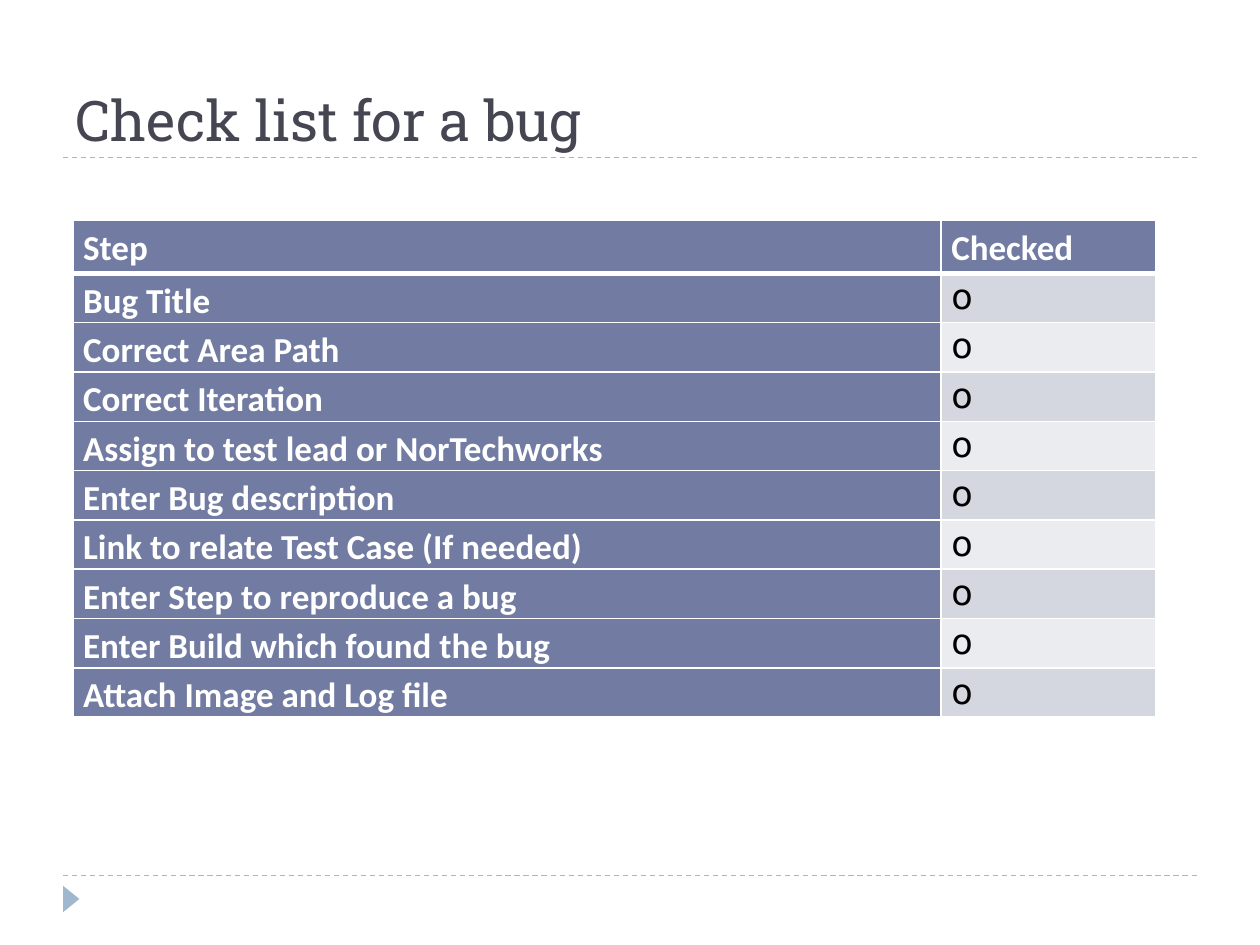
from dataclasses import dataclass

from lxml import etree
from pptx import Presentation
from pptx.dml.color import RGBColor
from pptx.enum.dml import MSO_LINE
from pptx.enum.shapes import MSO_CONNECTOR, MSO_SHAPE
from pptx.enum.text import MSO_ANCHOR, PP_ALIGN
from pptx.oxml.ns import qn
from pptx.util import Inches, Pt

STRAIGHT = MSO_CONNECTOR.STRAIGHT
TRIANGLE = MSO_SHAPE.ISOSCELES_TRIANGLE
DASH = MSO_LINE.DASH
BOTTOM, TOP = MSO_ANCHOR.BOTTOM, MSO_ANCHOR.TOP
LEFT = PP_ALIGN.LEFT
COLORS = {
    "title": "464653",
    "accent": "9FB8CD",
    "head": "727CA3",
    "odd": "D5D7E0",
    "even": "EBECF0",
    "white": "FFFFFF",
    "black": "000000",
}
STEPS = [
    "Bug Title",
    "Correct Area Path",
    "Correct Iteration",
    "Assign to test lead or NorTechworks",
    "Enter Bug description",
    "Link to relate Test Case (If needed)",
    "Enter Step to reproduce a bug",
    "Enter Build which found the bug",
    "Attach Image and Log file",
]


@dataclass
class Row:
    step: str
    mark: str
    fill: str
    header: bool = False


def rgb(name: str) -> RGBColor:
    return RGBColor.from_string(COLORS[name])


def write(tf, text: str, *, size: float, font: str, color: str,
          bold: bool = False, spacing: float = 1.0) -> None:
    p = tf.paragraphs[0]
    p.alignment = LEFT
    p.line_spacing = spacing
    r = p.add_run()
    r.text = text
    r.font.size = Pt(size)
    r.font.name = font
    r.font.bold = bold
    r.font.color.rgb = rgb(color)


def add_bullet(p, char: str) -> None:
    pPr = p._p.get_or_add_pPr()
    pPr.set("marL", str(Inches(0.25)))
    pPr.set("indent", str(-Inches(0.25)))
    etree.SubElement(pPr, qn("a:buChar"), char=char)


def add_rule(slide, y: float) -> None:
    line = slide.shapes.add_connector(STRAIGHT, Inches(0.5), Inches(y), Inches(9.5), Inches(y))
    line.line.color.rgb = rgb("accent")
    line.line.width = Pt(0.75)
    line.line.dash_style = DASH
    etree.SubElement(line._element.spPr, qn("a:effectLst"))


def set_borders(cell, bottom: float) -> None:
    tcPr = cell._tc.get_or_add_tcPr()
    widths = {"L": 1, "R": 1, "T": 1, "B": bottom}
    for i, (side, width) in enumerate(widths.items()):
        ln = etree.Element(qn(f"a:ln{side}"), w=str(Pt(width)))
        fill = etree.SubElement(ln, qn("a:solidFill"))
        etree.SubElement(fill, qn("a:srgbClr"), val=COLORS["white"])
        tcPr.insert(i, ln)


def format_cell(cell, text: str, fill: str, color: str, bold: bool, bottom: float) -> None:
    cell.margin_left = cell.margin_right = Inches(0.08)
    cell.margin_top = cell.margin_bottom = 0
    cell.vertical_anchor = TOP
    cell.fill.solid()
    cell.fill.fore_color.rgb = rgb(fill)
    write(cell.text_frame, text, size=20, font="Calibri", color=color, bold=bold, spacing=1.15)
    set_borders(cell, bottom)


def add_checklist(slide, rows: list[Row]) -> None:
    table = slide.shapes.add_table(len(rows), 2, Inches(0.58), Inches(1.75),
                                   Inches(8.59), Inches(3.93)).table
    for col, width in zip(table.columns, (6.89, 1.7)):
        col.width = Inches(width)
    for i, row in enumerate(rows):
        table.rows[i].height = Inches(0.42 if row.header else 0.39)
        bottom = 3 if row.header else 1
        step, check = table.cell(i, 0), table.cell(i, 1)
        format_cell(step, row.step, "head", "white", True, bottom)
        if row.header:
            format_cell(check, row.mark, row.fill, "white", True, bottom)
        else:
            format_cell(check, " ", row.fill, "black", False, bottom)
            add_bullet(check.text_frame.paragraphs[0], row.mark)


prs = Presentation()
prs.slide_width, prs.slide_height = Inches(10), Inches(7.5)
s = prs.slides.add_slide(prs.slide_layouts[5])

for y in (6.95, 1.25):
    add_rule(s, y)

sp = s.shapes.add_shape(TRIANGLE, Inches(0.46), Inches(7.07), Inches(0.21), Inches(0.13))
sp.rotation = 90
sp.shadow.inherit = False
sp.fill.solid()
sp.fill.fore_color.rgb = rgb("accent")
sp.line.fill.background()

title = s.shapes.title
title.left, title.top = Inches(0.5), Inches(0.18)
title.width, title.height = Inches(9), Inches(1.08)
title.text_frame.vertical_anchor = BOTTOM
write(title.text_frame, "Check list for a bug", size=32, font="Roboto Slab", color="title")

rows = [Row("Step", "Checked", "head", header=True)]
rows += [Row(step, "o", "even" if i % 2 else "odd") for i, step in enumerate(STEPS)]
add_checklist(s, rows)

prs.save("out.pptx")
